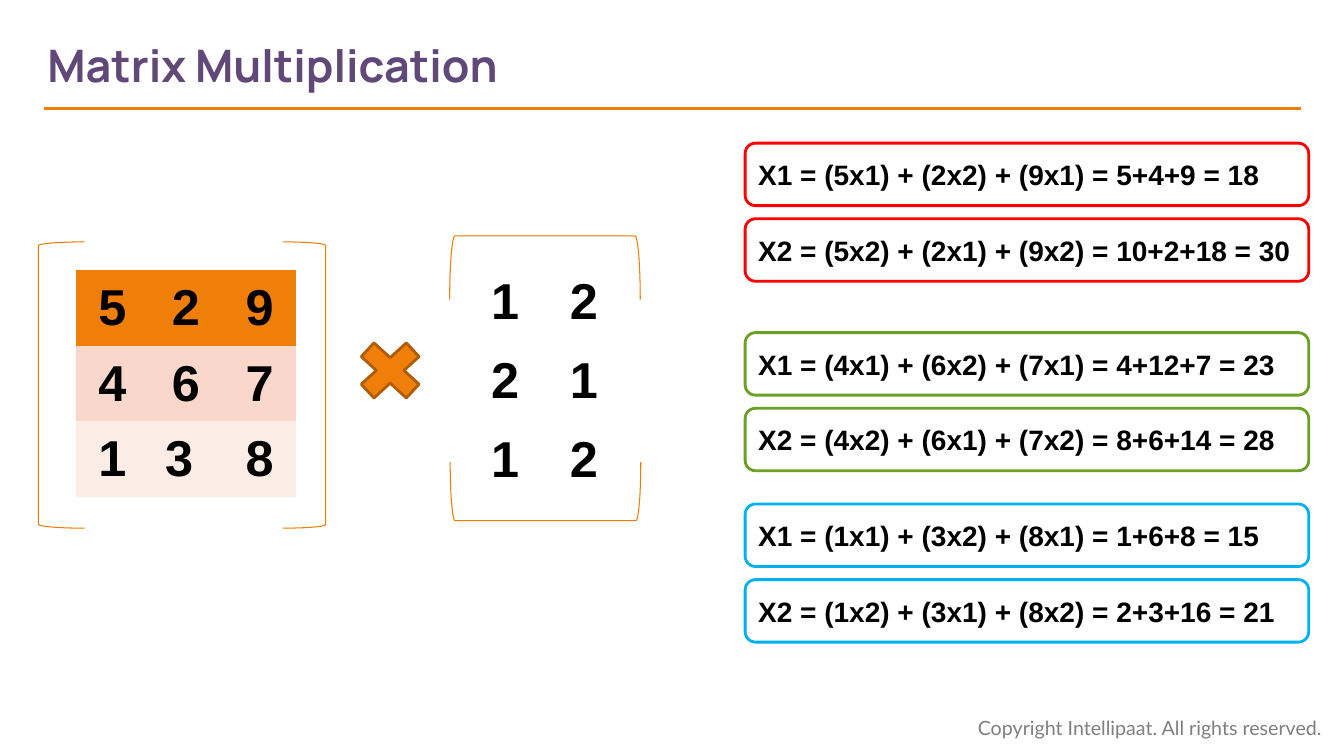
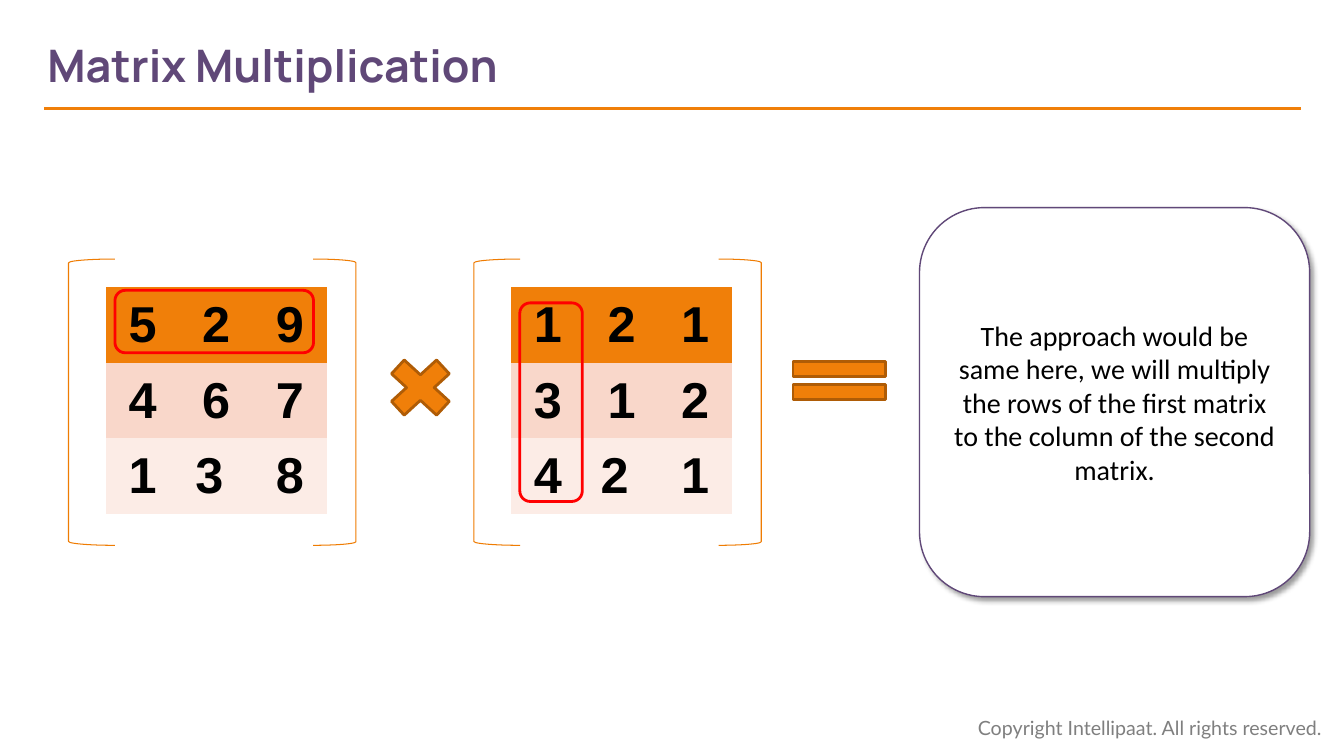
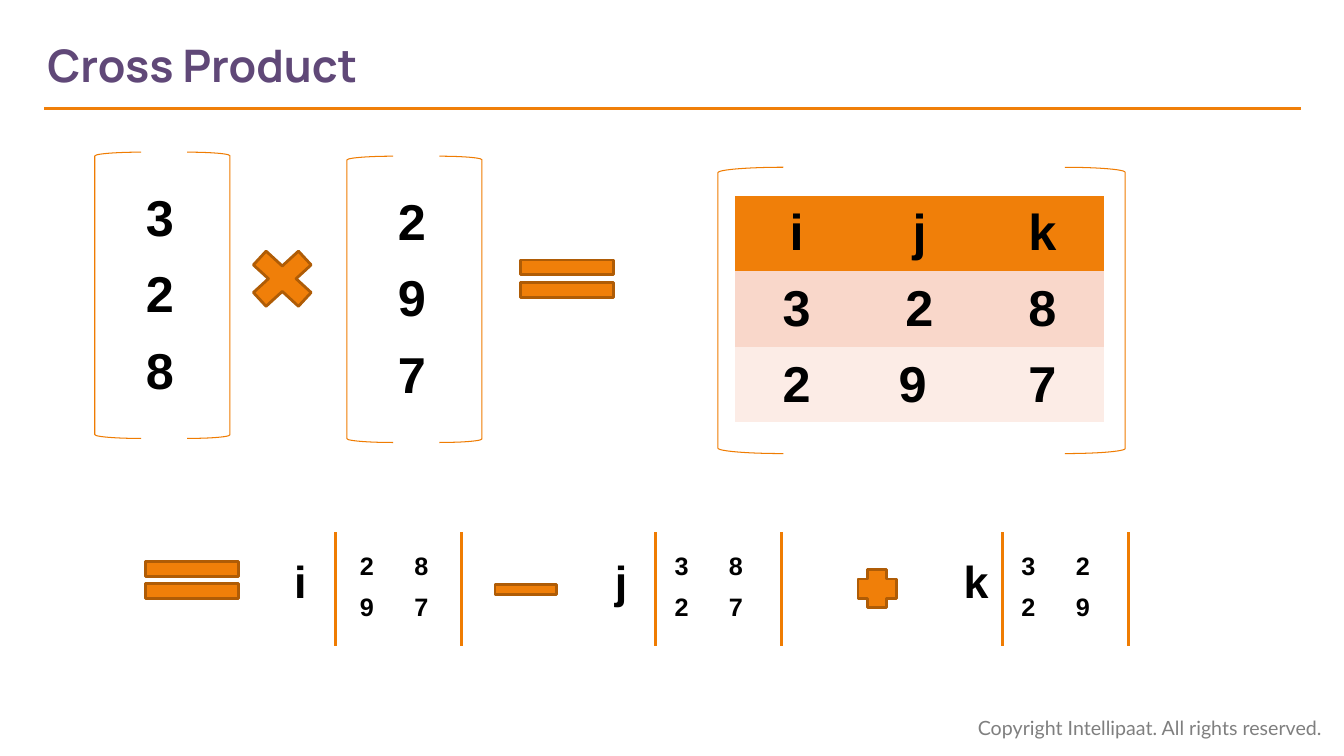
"""Build three slides on matrix multiplication and the cross product."""
import pptx
import pptx.dml.color
import pptx.enum.shapes
import pptx.enum.text
import pptx.oxml
import pptx.oxml.ns
import pptx.util
from lxml import etree

Inches = pptx.util.Inches
Pt = pptx.util.Pt
qn = pptx.oxml.ns.qn
SHAPE = pptx.enum.shapes.MSO_SHAPE
ALIGN = pptx.enum.text.PP_ALIGN
ANCHOR = pptx.enum.text.MSO_ANCHOR

ORANGE, DARK_ORANGE, BRACKET_ORANGE = "F07F09", "AF5C06", "EF7C02"
PURPLE, GRAY, BLACK, WHITE = "604878", "7F7F7F", "000000", "FFFFFF"
RED, GREEN, BLUE = "FF0000", "6B9F25", "00B0F0"
ROW_FILLS = [ORANGE, "F9D7CA", "FCECE6"]
PLAIN_TABLE_STYLE = "{2D5ABB26-0587-4C30-8999-92F81FD0307C}"
OPERATOR_SIZES = {
    SHAPE.MATH_MULTIPLY: (0.86, 0.79),
    SHAPE.MATH_EQUAL: (1.25, 0.63),
    SHAPE.CROSS: (0.38, 0.38),
    SHAPE.RECTANGLE: (0.61, 0.1),
}
FIRST_MATRIX = [["5", "2", "9"], ["4", "6", "7"], ["1", "3 ", "8"]]


def color(value):
    return pptx.dml.color.RGBColor.from_string(value)


def write(text_frame, text, size, font="Arial", text_color=BLACK, bold=True, align=ALIGN.LEFT):
    text_frame.text = text
    paragraph = text_frame.paragraphs[0]
    paragraph.alignment = align
    paragraph.font.size = Pt(size)
    paragraph.font.name = font
    paragraph.font.bold = bold
    paragraph.font.color.rgb = color(text_color)


def add_text(slide, text, left, top, width, height, size, **style):
    shape = slide.shapes.add_textbox(Inches(left), Inches(top), Inches(width), Inches(height))
    shape.text_frame.word_wrap = True
    write(shape.text_frame, text, size, **style)
    return shape


def add_shape(slide, kind, left, top, width, height, line_color, line_width=2, fill=None):
    shape = slide.shapes.add_shape(kind, Inches(left), Inches(top), Inches(width), Inches(height))
    shape.shadow.inherit = False
    shape.line.color.rgb = color(line_color)
    shape.line.width = Pt(line_width)
    if fill:
        shape.fill.solid()
        shape.fill.fore_color.rgb = color(fill)
    else:
        shape.fill.background()
    return shape


def add_line(slide, start, end, line_color, line_width):
    points = [Inches(value) for value in (*start, *end)]
    line = slide.shapes.add_connector(pptx.enum.shapes.MSO_CONNECTOR.STRAIGHT, *points)
    line.line.color.rgb = color(line_color)
    line.line.width = Pt(line_width)
    etree.SubElement(line._element.spPr, qn("a:effectLst"))


def add_slide(presentation, title):
    slide = presentation.slides.add_slide(presentation.slide_layouts[6])
    add_text(slide, "Copyright Intellipaat. All rights reserved.", 9.6, 7.05, 3.67, 0.34, 14,
             font="Lato", text_color=GRAY, bold=False)
    add_line(slide, (0.44, 1.08), (12.9, 1.08), ORANGE, 2.25)
    heading = add_text(slide, title, 0.47, 0.22, 9.47, 0.84, 32, font="Manrope", text_color=PURPLE)
    heading.text_frame.margin_left = 0
    heading.text_frame.vertical_anchor = ANCHOR.MIDDLE
    return slide


def add_matrix(slide, rows, left, top, column_width, row_height, size=36, align=ALIGN.CENTER,
               anchor=ANCHOR.MIDDLE, fills=None):
    frame = slide.shapes.add_table(
        len(rows), len(rows[0]), Inches(left), Inches(top),
        Inches(column_width * len(rows[0])), Inches(row_height * len(rows)))
    next(frame._element.iter(qn("a:tableStyleId"))).text = PLAIN_TABLE_STYLE
    table = frame.table
    table.first_row = table.horz_banding = False
    for column in table.columns:
        column.width = Inches(column_width)
    for row_index, values in enumerate(rows):
        table.rows[row_index].height = Inches(row_height)
        for column_index, value in enumerate(values):
            cell = table.cell(row_index, column_index)
            cell.vertical_anchor = anchor
            write(cell.text_frame, value, size, align=align)
            if fills:
                cell.fill.solid()
                cell.fill.fore_color.rgb = color(fills[row_index])
            else:
                cell.fill.background()


def add_brackets(slide, left, top, width, arm=0.46):
    right_arm = arm * 0.92
    add_shape(slide, SHAPE.LEFT_BRACKET, left, top, arm, 2.84, BRACKET_ORANGE, 0.75)
    add_shape(slide, SHAPE.RIGHT_BRACKET, left + width - right_arm, top, right_arm, 2.84,
              BRACKET_ORANGE, 0.75)


def add_square_matrix(slide, rows, left, top):
    add_brackets(slide, left, top, 2.85)
    add_matrix(slide, rows, left + 0.37, top + 0.28, 0.73, 0.75, fills=ROW_FILLS)


def add_vector(slide, values, left, top):
    add_brackets(slide, left, top, 1.34)
    add_matrix(slide, [[value] for value in values], left + 0.37, top + 0.28, 0.55, 0.76)


def add_operator(slide, kind, left, top):
    add_shape(slide, kind, left, top, *OPERATOR_SIZES[kind], DARK_ORANGE, fill=ORANGE)


def add_equations(slide, equations, top, line_color):
    for index, equation in enumerate(equations):
        box = add_shape(slide, SHAPE.FLOWCHART_ALTERNATE_PROCESS, 7.39, top + 0.75 * index,
                        5.59, 0.62, line_color)
        write(box.text_frame, equation, 20)


def add_minor(slide, symbol, rows, symbol_left, bar_left, matrix_left):
    add_text(slide, symbol, symbol_left, 5.44, 0.83, 0.64, 32)
    for bar in (bar_left, bar_left + 1.25):
        add_line(slide, (bar, 5.28), (bar, 6.41), BRACKET_ORANGE, 2)
    add_matrix(slide, rows, matrix_left, 5.43, 0.54, 0.41, 18, ALIGN.LEFT, ANCHOR.TOP)


def add_drop_shadow(shape):
    effects = shape._element.spPr.find(qn("a:effectLst"))
    shadow = etree.SubElement(effects, qn("a:outerShdw"), blurRad=str(Pt(4)), dist=str(Pt(3)),
                              dir="2700000", algn="tl", rotWithShape="0")
    shade = etree.SubElement(shadow, qn("a:srgbClr"), val=BLACK)
    etree.SubElement(shade, qn("a:alpha"), val="40000")


def build_products(presentation):
    slide = add_slide(presentation, "Matrix Multiplication")
    add_square_matrix(slide, FIRST_MATRIX, 0.38, 2.4)
    add_operator(slide, SHAPE.MATH_MULTIPLY, 3.44, 3.28)
    add_equations(slide, ["X1 = (5x1) + (2x2) + (9x1) = 5+4+9 = 18",
                          "X2 = (5x2) + (2x1) + (9x2) = 10+2+18 = 30"], 1.42, RED)
    add_equations(slide, ["X1 = (4x1) + (6x2) + (7x1) = 4+12+7 = 23",
                          "X2 = (4x2) + (6x1) + (7x2) = 8+6+14 = 28"], 3.3, GREEN)
    add_equations(slide, ["X1 = (1x1) + (3x2) + (8x1) = 1+6+8 = 15",
                          "X2 = (1x2) + (3x1) + (8x2) = 2+3+16 = 21"], 5, BLUE)
    for kind, left, top, width in ((SHAPE.LEFT_BRACKET, 5.09, 1.71, 0.63),
                                   (SHAPE.RIGHT_BRACKET, 5.12, 3.93, 0.58)):
        bracket = add_shape(slide, kind, left, top, width, 1.89, BRACKET_ORANGE, 0.75)
        bracket.rotation = 90
    add_matrix(slide, [["1", "2"], ["2", "1"], ["1", "2"]], 4.62, 2.61, 0.78, 0.78)


def build_approach(presentation):
    slide = add_slide(presentation, "Matrix Multiplication")
    add_square_matrix(slide, FIRST_MATRIX, 0.68, 2.57)
    add_operator(slide, SHAPE.MATH_MULTIPLY, 3.74, 3.45)
    add_operator(slide, SHAPE.MATH_EQUAL, 7.7, 3.46)
    add_square_matrix(slide, [["1", "2", "1"], ["3", "1", "2"], ["4", "2 ", "1"]], 4.7, 2.57)
    note = add_shape(slide, SHAPE.ROUNDED_RECTANGLE, 9.12, 2.06, 3.87, 3.86, PURPLE, 1, WHITE)
    add_drop_shadow(note)
    write(note.text_frame, "The approach would be same here, we will multiply the rows of the "
          "first matrix to the column of the second matrix.", 20, font="Calibri", bold=False,
          align=ALIGN.CENTER)
    for left, top, rotation in ((1.14, 2.88, 0), (4.48, 3.68, 90)):
        highlight = add_shape(slide, SHAPE.FLOWCHART_ALTERNATE_PROCESS, left, top, 1.97, 0.62, RED)
        highlight.rotation = rotation


def build_cross_product(presentation):
    slide = add_slide(presentation, "Cross Product")
    add_vector(slide, "328", 0.94, 1.51)
    add_operator(slide, SHAPE.MATH_MULTIPLY, 2.37, 2.37)
    add_vector(slide, "297", 3.44, 1.55)
    add_operator(slide, SHAPE.MATH_EQUAL, 5, 2.45)
    add_brackets(slide, 7.12, 1.66, 4.04, arm=0.65)
    add_matrix(slide, [["i", "j", "k"], ["3", "2", "8"], ["2", "9 ", "7"]], 7.29, 1.94, 1.22, 0.75,
               fills=ROW_FILLS)
    add_operator(slide, SHAPE.MATH_EQUAL, 1.28, 5.44)
    add_minor(slide, "i", ["28", "97"], 2.82, 3.33, 3.47)
    add_operator(slide, SHAPE.RECTANGLE, 4.91, 5.8)
    add_minor(slide, "j", ["38", "27"], 6, 6.5, 6.59)
    add_operator(slide, SHAPE.CROSS, 8.51, 5.65)
    add_minor(slide, "k", ["32", "29"], 9.46, 9.94, 10.03)


def main():
    presentation = pptx.Presentation()
    presentation.slide_width = Inches(13.33)
    presentation.slide_height = Inches(7.5)
    build_products(presentation)
    build_approach(presentation)
    build_cross_product(presentation)
    presentation.save("out.pptx")


if __name__ == "__main__":
    main()
